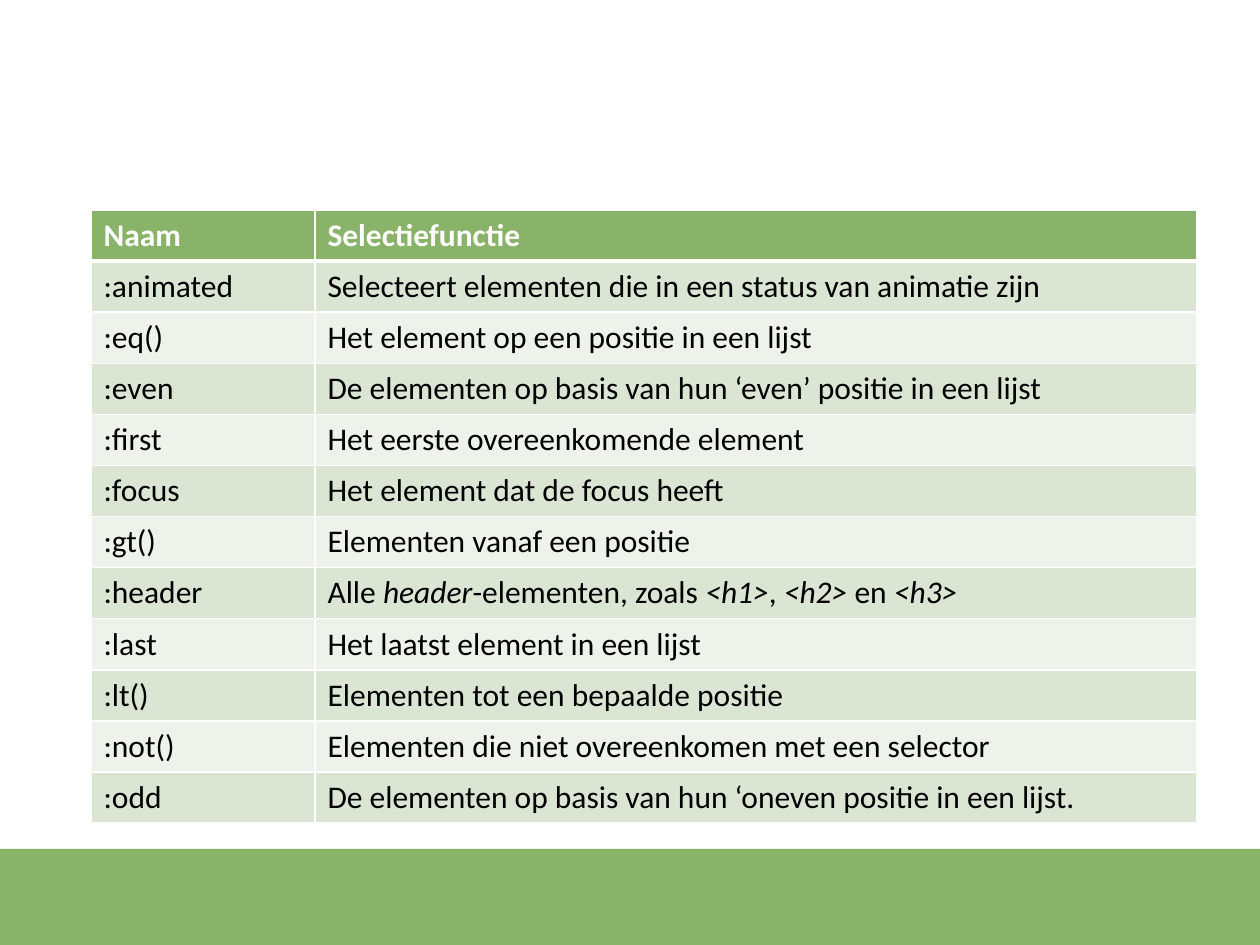
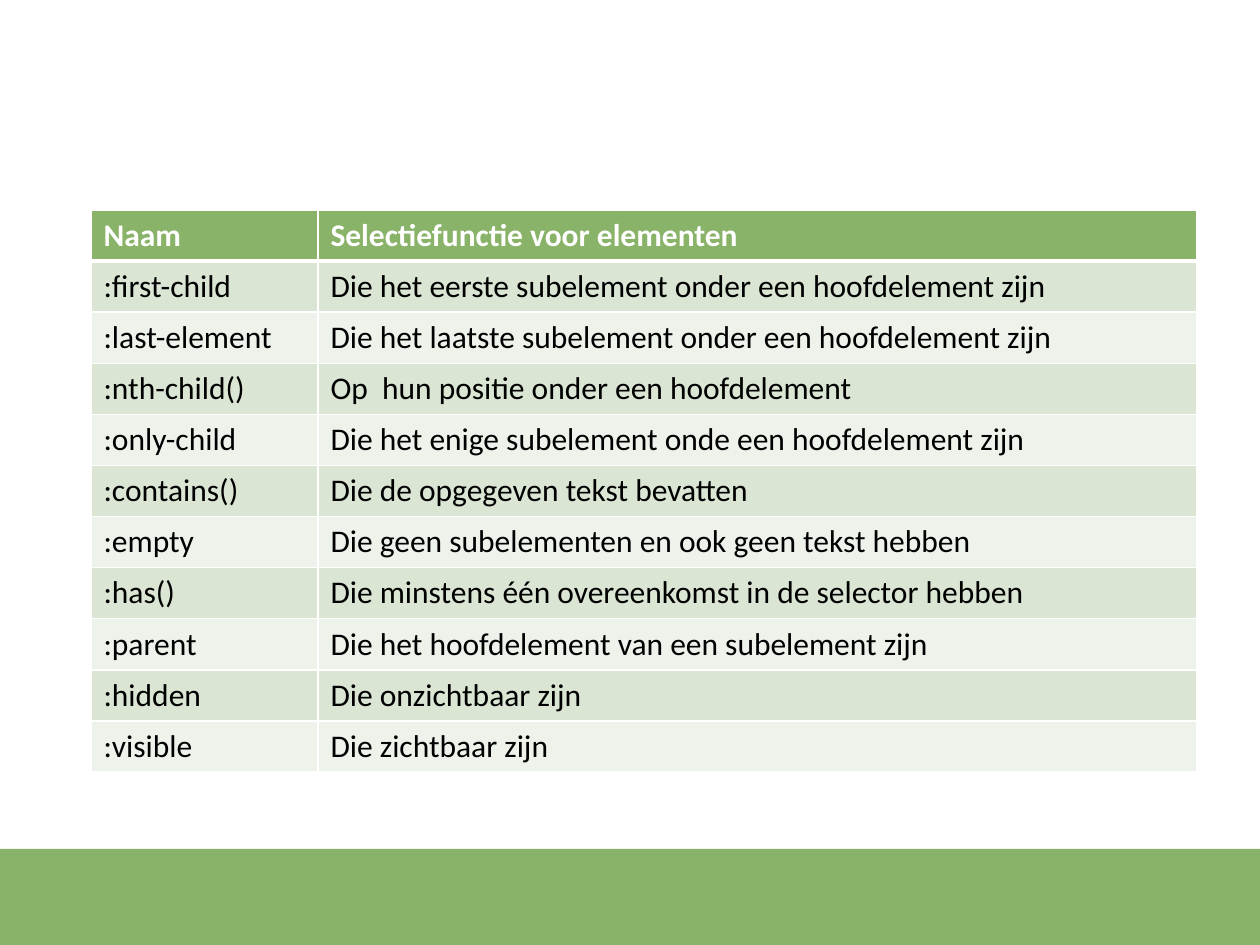
"""Build two slides that list selector filters in banded tables above a green band."""
from lxml import etree
from pptx import Presentation
from pptx import util as u
from pptx.dml import color
from pptx.enum import shapes
from pptx.oxml import ns

PX = 914400 // 126
W, H = 1260, 945
LEFT, TOP, TABLE_W, ROW_H = 91, 210, 1106, 51
BAND_TOP = 849
FONT = "Calibri"
C = {"green": "89B368", "dark_row": "DAE5D4", "light_row": "EDF2EB",
     "white": "FFFFFF", "black": "000000"}

TABLES = [
    (224, [
        ("Naam", "Selectiefunctie"),
        (":animated", "Selecteert elementen die in een status van animatie zijn"),
        (":eq()", "Het element op een positie in een lijst"),
        (":even", "De elementen op basis van hun ‘even’ positie in een lijst"),
        (":first", "Het eerste overeenkomende element"),
        (":focus", "Het element dat de focus heeft"),
        (":gt()", "Elementen vanaf een positie"),
        (":header", "Alle *header*-elementen, zoals *<h1>*, *<h2>* en *<h3>*"),
        (":last", "Het laatst element in een lijst"),
        (":lt()", "Elementen tot een bepaalde positie"),
        (":not()", "Elementen die niet overeenkomen met een selector"),
        (":odd", "De elementen op basis van hun ‘oneven positie in een lijst."),
    ]),
    (227, [
        ("Naam", "Selectiefunctie voor elementen"),
        (":first-child", "Die het eerste subelement onder een hoofdelement zijn"),
        (":last-element", "Die het laatste subelement onder een hoofdelement zijn"),
        (":nth-child()", "Op  hun positie onder een hoofdelement"),
        (":only-child", "Die het enige subelement onde een hoofdelement zijn"),
        (":contains()", "Die de opgegeven tekst bevatten"),
        (":empty", "Die geen subelementen en ook geen tekst hebben"),
        (":has()", "Die minstens één overeenkomst in de selector hebben"),
        (":parent", "Die het hoofdelement van een subelement zijn"),
        (":hidden", "Die onzichtbaar zijn"),
        (":visible", "Die zichtbaar zijn"),
    ]),
]


def rgb(name):
    return color.RGBColor.from_string(C[name])


def set_borders(cell, top, bottom):
    tc_pr = cell._tc.get_or_add_tcPr()
    for side, width in (("L", 1), ("R", 1), ("T", top), ("B", bottom)):
        ln = etree.SubElement(tc_pr, ns.qn(f"a:ln{side}"), w=str(u.Pt(width)))
        fill = etree.SubElement(ln, ns.qn("a:solidFill"))
        etree.SubElement(fill, ns.qn("a:srgbClr"), val=C["white"])


prs = Presentation()
prs.slide_width, prs.slide_height = u.Inches(10), u.Inches(7.5)

for name_w, rows in TABLES:
    s = prs.slides.add_slide(prs.slide_layouts[6])

    band = s.shapes.add_shape(shapes.MSO_SHAPE.RECTANGLE, 0, BAND_TOP * PX,
                              prs.slide_width, (H - BAND_TOP) * PX)
    band.shadow.inherit = False
    band.fill.solid()
    band.fill.fore_color.rgb = rgb("green")
    band.line.fill.background()

    table = s.shapes.add_table(len(rows), 2, LEFT * PX, TOP * PX,
                               TABLE_W * PX, len(rows) * ROW_H * PX).table
    table.columns[0].width = name_w * PX
    table.columns[1].width = (TABLE_W - name_w) * PX

    for i, row in enumerate(rows):
        header = i == 0
        fill = "green" if header else "dark_row" if i % 2 else "light_row"
        for j, content in enumerate(row):
            cell = table.cell(i, j)
            set_borders(cell, 3 if i == 1 else 1, 3 if header else 1)
            cell.fill.solid()
            cell.fill.fore_color.rgb = rgb(fill)
            p = cell.text_frame.paragraphs[0]
            p.font.name, p.font.size, p.font.bold = FONT, u.Pt(18), header
            p.font.color.rgb = rgb("white" if header else "black")
            for k, part in enumerate(content.split("*")):
                if part:
                    r = p.add_run()
                    r.text = part
                    if k % 2:
                        r.font.italic = True

prs.save("out.pptx")
